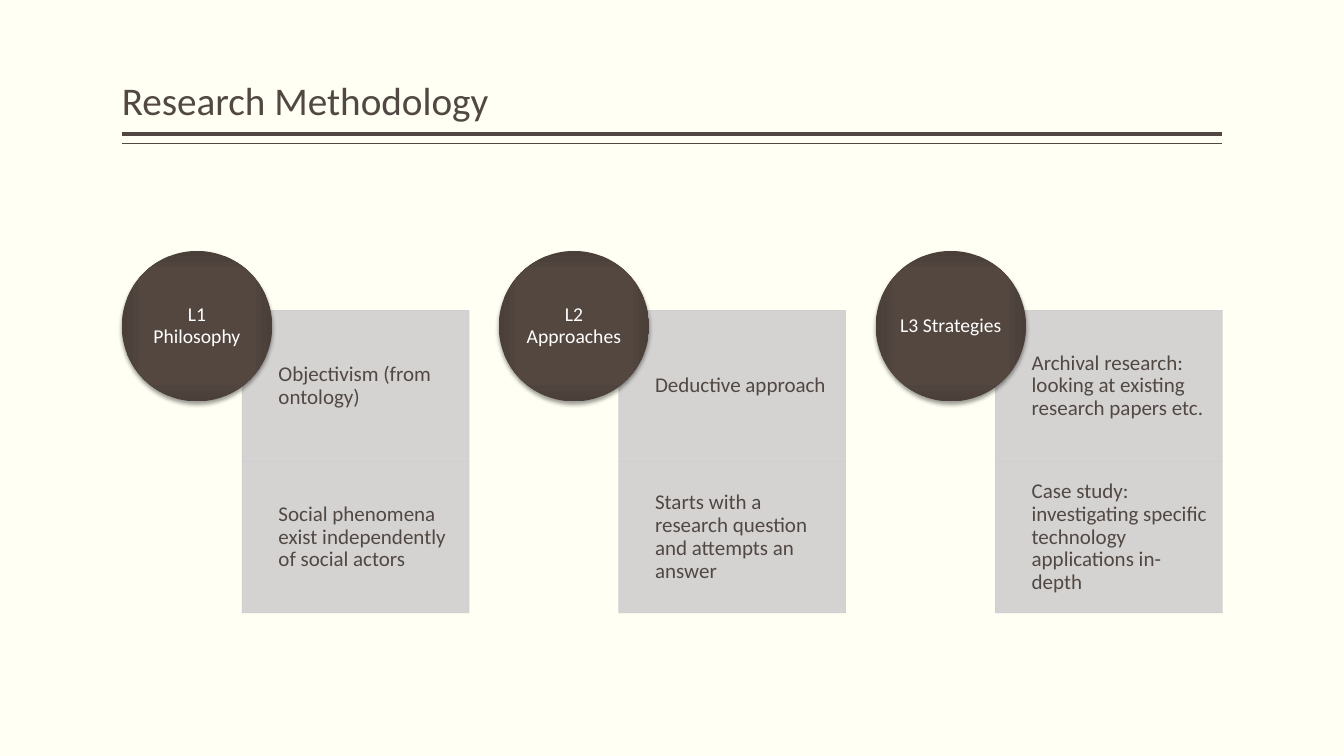
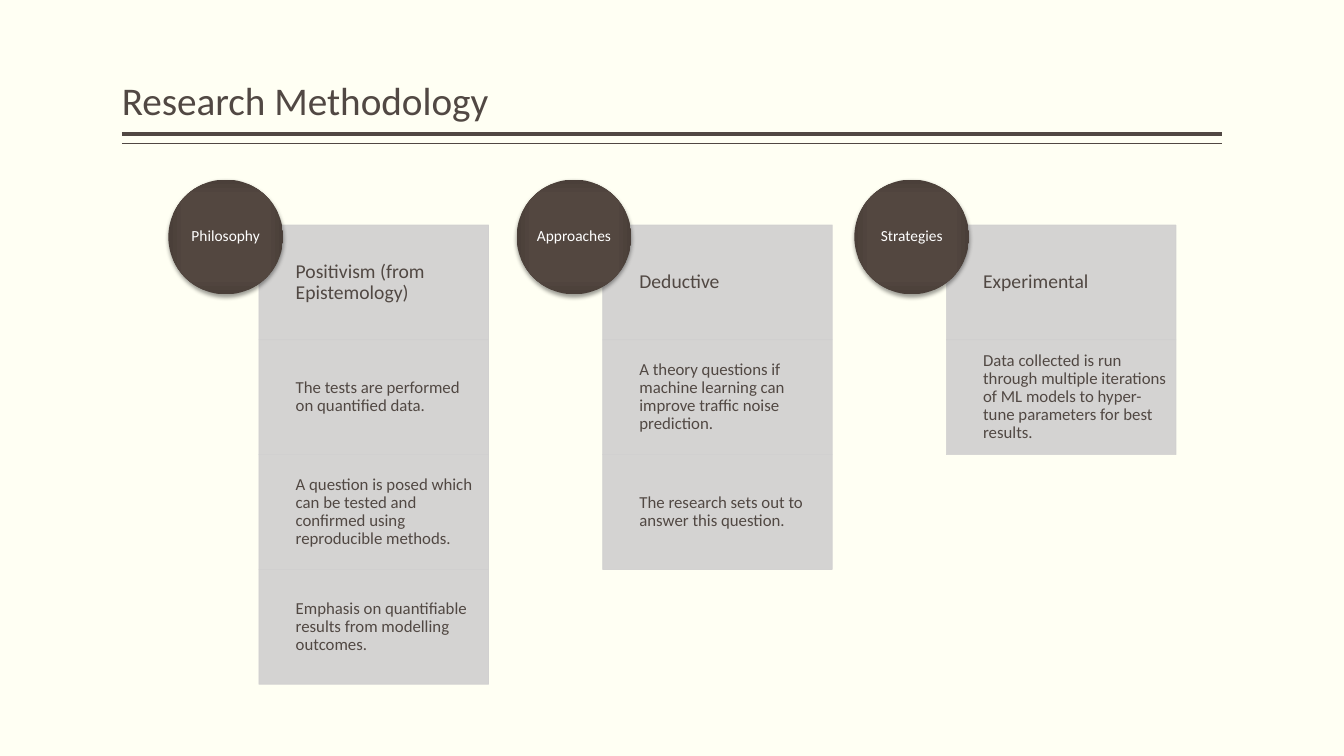
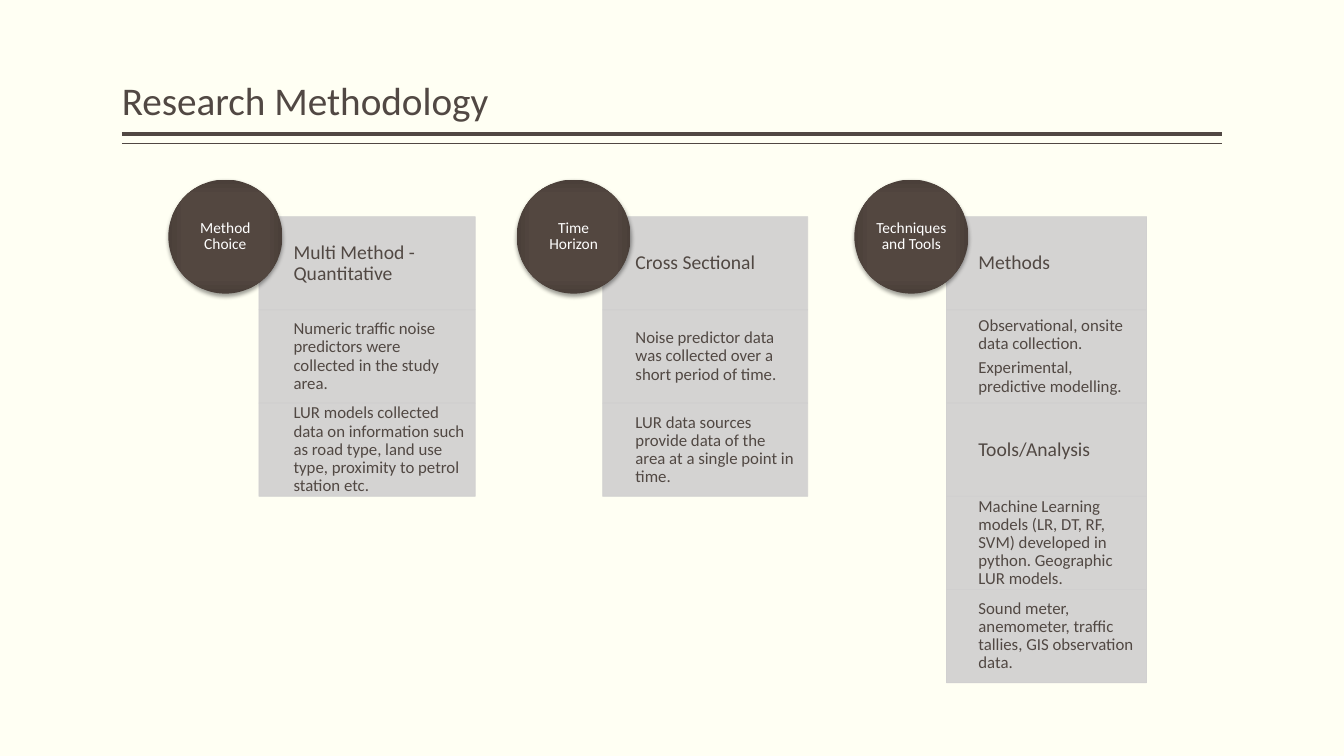
from lxml import etree
from pptx import Presentation, oxml
from pptx import util as u
from pptx.dml import color
from pptx.enum import shapes, text
from pptx.oxml import ns

Pt = u.Pt
COLORS = {"page": "FFFFF3", "ink": "514843", "cell": "D0CFCF", "white": "FFFFFF",
          "disc": "544740", "disc_mid": "534740", "disc_edge": "4A3F39", "shadow": "000000"}
FONT = "Calibri"
TITLE = "Research Methodology"
TITLE_BOX = (87, 6, 786, 86)
RULES = ((95.75, 3), (102.5, 1))  # y position, weight
HEAD, BODY = 14, 12

SLIDES = [
    dict(cell_x=173, pitch=269, cell_y=221.75, cell_h=108, widths=(162, 162, 162),
         disc_x=(87, 356.25, 625.5), disc_y=179.25, disc_d=107.5, label_size=14,
         columns=[
             ("L1 Philosophy", [
                 (15, "Objectivism (from ontology)"),
                 (15, "Social phenomena exist independently of social actors")]),
             ("L2 Approaches", [
                 (15, "Deductive approach"),
                 (15, "Starts with a research question and attempts an answer")]),
             ("L3 Strategies", [
                 (15, "Archival research: looking at existing research papers etc."),
                 (15, "Case study: investigating specific technology applications in-depth")]),
         ]),
    dict(cell_x=185, pitch=245.5, cell_y=160.75, cell_h=82, widths=(164, 164, 164),
         disc_x=(120.25, 369, 610.25), disc_y=128.25, disc_d=82, label_size=11,
         columns=[
             ("Philosophy", [
                 (HEAD, "Positivism (from Epistemology)"),
                 (BODY, "The tests are performed on quantified data."),
                 (BODY, "A question is posed which can be tested and confirmed using "
                        "reproducible methods."),
                 (BODY, "Emphasis on quantifiable results from modelling outcomes.")]),
             ("Approaches", [
                 (HEAD, "Deductive"),
                 (BODY, "A theory questions if machine learning can improve traffic noise "
                        "prediction."),
                 (BODY, "The research sets out to answer this question.")]),
             ("Strategies", [
                 (HEAD, "Experimental"),
                 (BODY, "Data collected is run through multiple iterations of ML models to "
                        "hyper-tune parameters for best results.")]),
         ]),
    dict(cell_x=185, pitch=245.5, cell_y=154.75, cell_h=66.6, widths=(154.5, 146.5, 143),
         disc_x=(120.25, 369, 610.25), disc_y=128.25, disc_d=81.5, label_size=11,
         columns=[
             ("Method Choice", [
                 (HEAD, "Multi Method - Quantitative"),
                 (BODY, "Numeric traffic noise predictors were collected in the study area."),
                 (BODY, "LUR models collected data on information such as road type, land use "
                        "type, proximity to petrol station etc.")]),
             ("Time Horizon", [
                 (HEAD, "Cross Sectional"),
                 (BODY, "Noise predictor data was collected over a short period of time."),
                 (BODY, "LUR data sources provide data of the area at a single point in time.")]),
             ("Techniques and Tools", [
                 (HEAD, "Methods"),
                 (BODY, "Observational, onsite data collection.\n"
                        "Experimental, predictive modelling."),
                 (HEAD, "Tools/Analysis"),
                 (BODY, "Machine Learning models (LR, DT, RF, SVM) developed in python. "
                        "Geographic LUR models."),
                 (BODY, "Sound meter, anemometer, traffic tallies, GIS observation data.")]),
         ]),
]


def rgb(name):
    return color.RGBColor.from_string(COLORS[name])


def apply(obj, **fmt):
    for key, value in fmt.items():
        setattr(obj, key, value)


def set_frame(tf, anchor, left, top, right, bottom):
    apply(tf, word_wrap=True, auto_size=text.MSO_AUTO_SIZE.NONE, vertical_anchor=anchor,
          margin_left=Pt(left), margin_top=Pt(top),
          margin_right=Pt(right), margin_bottom=Pt(bottom))


def write(tf, words, size, ink, align):
    tf.text = words
    for p in tf.paragraphs:
        apply(p, alignment=align, line_spacing=0.9, space_before=Pt(0),
              space_after=Pt(round(size * 0.35, 1)))
        for r in p.runs:
            apply(r.font, name=FONT, size=Pt(size))
            r.font.color.rgb = rgb(ink)


def add_box(slide, kind, x, y, w, h):
    return slide.shapes.add_shape(kind, Pt(x), Pt(y), Pt(w), Pt(h))


def add_cell(slide, x, y, w, h, size, words):
    sp = add_box(slide, shapes.MSO_SHAPE.RECTANGLE, x, y, w, h)
    sp.fill.solid()
    sp.fill.fore_color.rgb = rgb("cell")
    sp.line.color.rgb = rgb("cell")
    sp.line.width = Pt(0.5)
    sp.shadow.inherit = False
    # Slight transparency of fill and outline
    for clr in sp.element.spPr.iter(ns.qn("a:srgbClr")):
        etree.SubElement(clr, ns.qn("a:alpha"), val="90000")
    pad = size * 0.56
    set_frame(sp.text_frame, text.MSO_ANCHOR.MIDDLE, w * 0.16, pad, pad, pad)
    write(sp.text_frame, words, size, "ink", text.PP_ALIGN.LEFT)


def add_disc(slide, x, y, d, size, label):
    sp = add_box(slide, shapes.MSO_SHAPE.OVAL, x, y, d, d)
    sp.line.fill.background()
    sp.shadow.inherit = False
    spPr = sp.element.spPr
    # Gradient darkening towards the edge
    stops = "".join(f'<a:gs pos="{pos}000"><a:srgbClr val="{COLORS[name]}"/></a:gs>'
                    for pos, name in ((0, "disc"), (71, "disc_mid"), (100, "disc_edge")))
    spPr.insert(2, oxml.parse_xml(
        f'<a:gradFill {ns.nsdecls("a")}><a:gsLst>{stops}</a:gsLst><a:path path="rect">'
        '<a:fillToRect l="50000" t="50000" r="50000" b="50000"/></a:path></a:gradFill>'))
    # Soft shadow below
    spPr.find(ns.qn("a:effectLst")).append(oxml.parse_xml(
        f'<a:outerShdw {ns.nsdecls("a")} blurRad="{Pt(3.1)}" dist="{Pt(2)}" dir="5400000" '
        f'rotWithShape="0"><a:srgbClr val="{COLORS["shadow"]}"><a:alpha val="38000"/>'
        '</a:srgbClr></a:outerShdw>'))
    set_frame(sp.text_frame, text.MSO_ANCHOR.MIDDLE, 0, 0, 0, 0)
    write(sp.text_frame, label, size, "white", text.PP_ALIGN.CENTER)


def style_layout(prs, layout):
    """Page colour, title position and double rule shared by every slide."""
    fill = prs.slide_master.background.fill
    fill.solid()
    fill.fore_color.rgb = rgb("page")
    title = layout.placeholders[0]
    x, y, w, h = TITLE_BOX
    apply(title, left=Pt(x), top=Pt(y), width=Pt(w), height=Pt(h))
    set_frame(title.text_frame, text.MSO_ANCHOR.BOTTOM, 0, 3.6, 0, 3.6)


def add_rules(slide, layout):
    """Draw the rules and hand them to the layout."""
    x, _, w, _ = TITLE_BOX
    for y, weight in RULES:
        rule = slide.shapes.add_connector(shapes.MSO_CONNECTOR.STRAIGHT,
                                          Pt(x), Pt(y), Pt(x + w), Pt(y))
        rule.line.color.rgb = rgb("ink")
        rule.line.width = Pt(weight)
        etree.SubElement(rule.element.spPr, ns.qn("a:effectLst"))
        layout.shapes.element.append(rule.element)


def add_columns(slide, cell_x, pitch, cell_y, cell_h, widths, disc_x, disc_y, disc_d,
                label_size, columns):
    """Columns of stacked cells, each with a labelled disc over its corner."""
    for i, (label, cells) in enumerate(columns):
        for row, (size, words) in enumerate(cells):
            add_cell(slide, cell_x + i * pitch, cell_y + row * cell_h, widths[i], cell_h,
                     size, words)
        add_disc(slide, disc_x[i], disc_y, disc_d, label_size, label)


def main():
    prs = Presentation()
    apply(prs, slide_width=Pt(960), slide_height=Pt(540))
    layout = prs.slide_layouts[5]
    style_layout(prs, layout)
    for i, content in enumerate(SLIDES):
        slide = prs.slides.add_slide(layout)
        if i == 0:
            add_rules(slide, layout)
        write(slide.shapes.title.text_frame, TITLE, 28, "ink", text.PP_ALIGN.LEFT)
        add_columns(slide, **content)
    prs.save("out.pptx")


if __name__ == "__main__":
    main()
